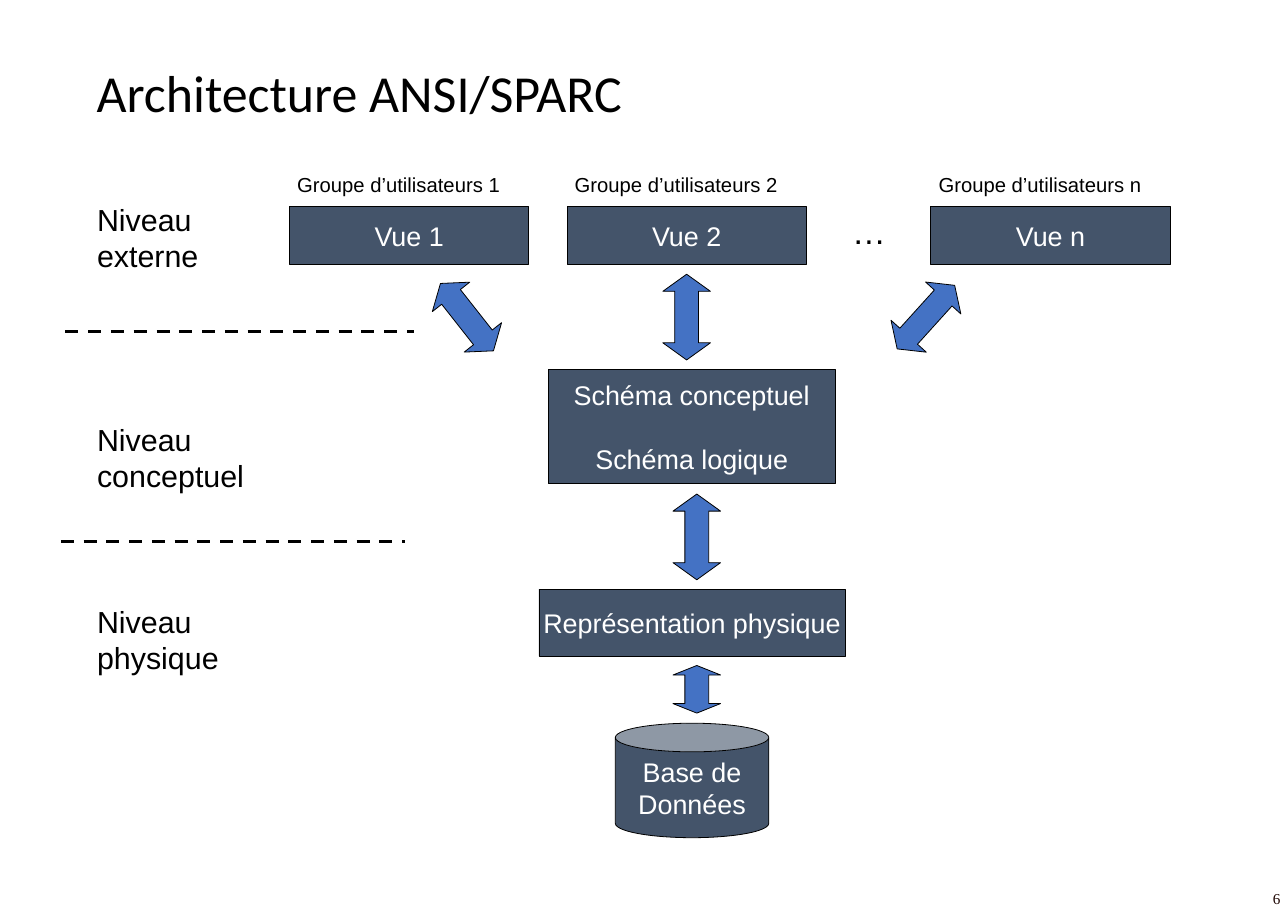
import pptx
import pptx.util
import pptx.dml.color
import pptx.enum.dml
import pptx.enum.shapes
import pptx.enum.text
from dataclasses import dataclass
from lxml import etree

Pt = pptx.util.Pt
SHAPE = pptx.enum.shapes.MSO_SHAPE
ALIGN = pptx.enum.text.PP_ALIGN
ANCHOR = pptx.enum.text.MSO_ANCHOR
A_NS = "http://schemas.openxmlformats.org/drawingml/2006/main"


@dataclass(frozen=True)
class Theme:
    box: str = "44546A"
    arrow: str = "4472C4"
    ink: str = "000000"
    light: str = "FFFFFF"
    number: str = "1D0401"
    body: str = "Arial"
    heading: str = "Calibri"
    serif: str = "Times New Roman"
    title_size: float = 48
    dots_size: float = 31.2
    level_size: float = 28.1
    box_size: float = 24.9
    group_size: float = 18.7
    number_size: float = 14
    outline: float = 0.75
    divider: float = 3


T = Theme()


def rgb(value):
    return pptx.dml.color.RGBColor.from_string(value)


def write(tf, lines, size, color=T.ink, name=T.body, **paragraph):
    """Fill a text frame, one paragraph per line."""
    for i, line in enumerate(lines):
        p = tf.paragraphs[0] if i == 0 else tf.add_paragraph()
        for key, value in paragraph.items():
            if i or key != "space_before":
                setattr(p, key, value)
        r = p.add_run()
        r.text = line
        for key, value in {"size": Pt(size), "name": name}.items():
            setattr(r.font, key, value)
        r.font.color.rgb = rgb(color)


def add_text(s, box, text, size, **fmt):
    tf = s.shapes.add_textbox(*map(Pt, box)).text_frame
    tf.word_wrap = True
    write(tf, [text], size, **fmt)


def add_filled(s, kind, box, fill):
    sp = s.shapes.add_shape(kind, *map(Pt, box))
    sp.shadow.inherit = False
    sp.fill.solid()
    sp.fill.fore_color.rgb = rgb(fill)
    sp.line.color.rgb = rgb(T.ink)
    sp.line.width = Pt(T.outline)
    return sp


def add_box(s, box, lines, kind=SHAPE.RECTANGLE, gap=0):
    sp = add_filled(s, kind, box, T.box)
    tf = sp.text_frame
    tf.word_wrap = False
    tf.vertical_anchor = ANCHOR.MIDDLE
    write(tf, lines, T.box_size, color=T.light, alignment=ALIGN.CENTER,
          space_before=Pt(gap))


def add_arrow(s, center, height=79.2, head=0.359, rotation=0):
    width = 44
    x, y = center
    sp = add_filled(s, SHAPE.UP_DOWN_ARROW,
                    (x - width / 2, y - height / 2, width, height), T.arrow)
    sp.rotation = rotation
    # Shaft width and head length, set by guide name: python-pptx lists adj1 twice
    guides = sp._element.spPr.find(f".//{{{A_NS}}}avLst")
    for old in list(guides):
        guides.remove(old)
    for name, value in {"adj1": 0.5, "adj2": head}.items():
        etree.SubElement(guides, f"{{{A_NS}}}gd", name=name,
                         fmla=f"val {round(value * 100000)}")


def add_divider(s, x, y, width):
    line = s.shapes.add_connector(pptx.enum.shapes.MSO_CONNECTOR.STRAIGHT,
                                  Pt(x), Pt(y), Pt(x + width), Pt(y))
    line.line.color.rgb = rgb(T.ink)
    line.line.width = Pt(T.divider)
    line.line.dash_style = pptx.enum.dml.MSO_LINE.DASH
    etree.SubElement(line._element.spPr, f"{{{A_NS}}}effectLst")


def title(s, box, text):
    sp = s.shapes.title
    for key, value in zip(("left", "top", "width", "height"), box):
        setattr(sp, key, Pt(value))
    tf = sp.text_frame
    tf.auto_size = pptx.enum.text.MSO_AUTO_SIZE.NONE
    tf.vertical_anchor = ANCHOR.MIDDLE
    write(tf, [text], T.title_size, name=T.heading, alignment=ALIGN.LEFT,
          line_spacing=0.9)


def external_level(s, box):
    x, y, w, h = box
    view_w, view_h, view_y = 221, 53.3, y + 35.3
    add_text(s, (x, y + 26.7, 141.8, 75), "Niveau externe", T.level_size)
    # User groups, each above its view
    for dx, tag in ((185, "1"), (441.4, "2"), (w - view_w, "n")):
        add_text(s, (x + dx, y, view_w, 30.2),
                 f"Groupe d’utilisateurs {tag}", T.group_size)
        add_box(s, (x + dx, view_y, view_w, view_h), [f"Vue {tag}"])
    add_text(s, (x + 697.7, view_y, 44, 45.4), "…", T.dots_size)
    # Arrows from the views to the conceptual schema
    for dx, rotation in ((348.9, 321.8), (551.9, 0), (773, 42.1)):
        add_arrow(s, (x + dx, y + h - 39.6), rotation=rotation)


def conceptual_level(s, box):
    x, y, w, h = box
    add_text(s, (x, y + 43.9, 185.8, 75), "Niveau conceptuel", T.level_size)
    add_box(s, (x + w - 265, y, 265, 105.8),
            ["Schéma conceptuel", "Schéma logique"], gap=29)
    add_arrow(s, (x + 561.3, y + h - 39.6))


def physical_level(s, box):
    x, y, w, h = box
    add_text(s, (x, y + 9.4, 185.8, 75), "Niveau physique", T.level_size)
    add_box(s, (x + w - 283, y, 283, 61.9), ["Représentation physique"])
    add_arrow(s, (x + 561.3, y + 92.6), height=44, head=0.2)
    # Database
    add_box(s, (x + w - 212.4, y + h - 105.8, 141.8, 105.8),
            ["Base de", "Données"], kind=SHAPE.CAN)


def page_number(s, box, number):
    add_text(s, box, number, T.number_size, color=T.number, name=T.serif,
             alignment=ALIGN.RIGHT)


def main():
    prs = pptx.Presentation()
    prs.slide_width, prs.slide_height = Pt(1190.16), Pt(841.68)
    s = prs.slides.add_slide(prs.slide_layouts[5])
    left = 82.6
    title(s, (82.1, 44.6, 1026.7, 87.8), "Architecture ANSI/SPARC")
    external_level(s, (left, 155.5, 998.6, 177.1))
    add_divider(s, 60.5, 306, 322.5)
    conceptual_level(s, (left, 341.3, 689.1, 194.4))
    add_divider(s, 56.2, 500.4, 318.2)
    physical_level(s, (left, 544.3, 698.4, 229.7))
    page_number(s, (1040.4, 817.9, 149.76, 23.8), "6")
    prs.save("out.pptx")


if __name__ == "__main__":
    main()
